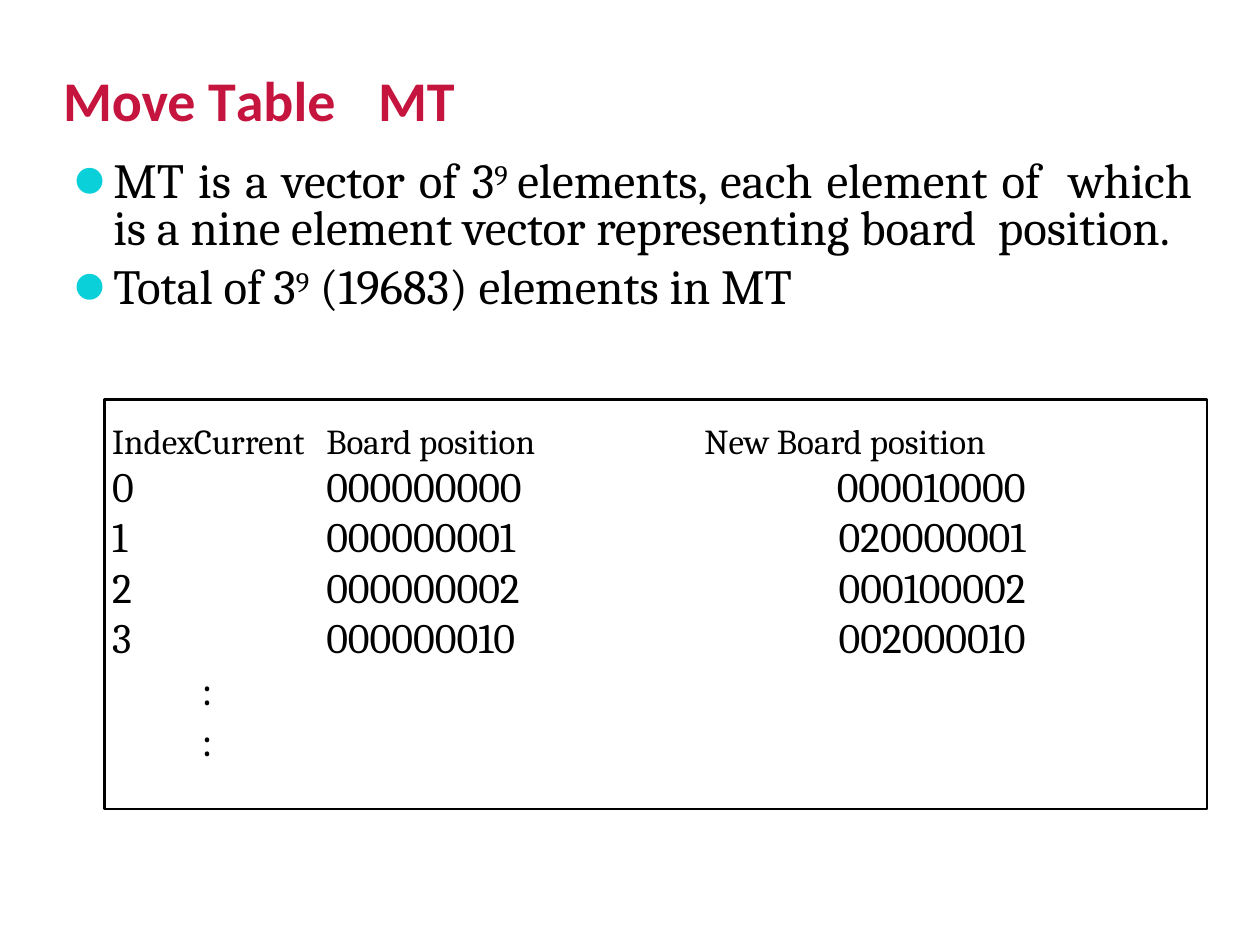
from pptx import Presentation
from pptx.dml.color import RGBColor
from pptx.enum.shapes import MSO_SHAPE
from pptx.enum.text import MSO_ANCHOR, MSO_AUTO_SIZE, PP_ALIGN
from pptx.oxml.ns import qn
from pptx.util import Inches, Pt
from lxml import etree

BLACK, RED, CYAN = "000000", "C5153E", "0AD0D9"
SERIF, SANS = "Cambria", "Calibri"


def color(value):
    return RGBColor.from_string(value)


def place(shape, box):
    shape.left, shape.top, shape.width, shape.height = map(Inches, box)


def prepare_frame(holder, top=0.0):
    frame = holder.text_frame
    frame.auto_size = MSO_AUTO_SIZE.NONE
    frame.word_wrap = True
    frame.vertical_anchor = MSO_ANCHOR.TOP
    frame.margin_left = frame.margin_right = frame.margin_bottom = 0
    frame.margin_top = Inches(top)
    return frame


def add_run(paragraph, text, size, font=SERIF, ink=BLACK, bold=False, spacing=0, baseline=0):
    run = paragraph.add_run()
    run.text = text
    run.font.size, run.font.name, run.font.bold = Pt(size), font, bold
    run.font.color.rgb = color(ink)
    props = run.font._element
    if spacing:
        props.set("spc", str(spacing))
    if baseline:
        props.set("baseline", str(baseline))


def add_child(parent, tag, **attributes):
    return etree.SubElement(parent, qn(tag), attributes)


def indent(paragraph, left, first=0.0):
    props = paragraph._p.get_or_add_pPr()
    props.set("marL", str(Inches(left)))
    props.set("indent", str(Inches(first)))
    return props


def add_title(slide, box):
    title = slide.shapes.title
    place(title, box)
    paragraph = prepare_frame(title, 0.01).paragraphs[0]
    paragraph.alignment = PP_ALIGN.LEFT
    paragraph.space_before = Pt(1.1)
    tabs = add_child(indent(paragraph, 0.01), "a:tabLst")
    add_child(tabs, "a:tab", pos=str(Inches(2.35)), algn="l")
    for text, spacing in (("Move ", -10), ("T", -250), ("able\tMT", 0)):
        add_run(paragraph, text, 32, SANS, RED, True, spacing)


def add_bullets(slide, box, items):
    body = slide.placeholders[1]
    place(body, box)
    frame = prepare_frame(body, 0.1)
    for number, (before, line, runs) in enumerate(items):
        paragraph = frame.add_paragraph() if number else frame.paragraphs[0]
        paragraph.alignment = PP_ALIGN.JUSTIFY
        paragraph.space_before = Pt(before)
        paragraph.line_spacing = line
        props = indent(paragraph, 0.38, -0.3)
        add_child(add_child(props, "a:buClr"), "a:srgbClr", val=CYAN)
        add_child(props, "a:buSzPct", val="95000")
        add_child(props, "a:buFont", typeface=SERIF)
        add_child(props, "a:buChar", char="⚫")
        for text, raised in runs:
            add_run(paragraph, text, 27.8 if raised else 28,
                    baseline=26000 if raised else 0)


def add_move_table(slide, box, widths, heights, rows):
    table = slide.shapes.add_table(len(rows), len(widths), *map(Inches, box)).table
    table.first_row = table.horz_banding = False
    for column, width in zip(table.columns, widths):
        column.width = Inches(width)
    for r, (row, height) in enumerate(zip(rows, heights)):
        table.rows[r].height = Inches(height)
        for c, text in enumerate(row):
            cell = table.cell(r, c)
            cell.fill.background()
            cell.margin_left = cell.margin_right = cell.margin_top = cell.margin_bottom = 0
            paragraph = cell.text_frame.paragraphs[0]
            paragraph.line_spacing = Pt(25.2 if r else 19.1)
            if r and c == 2:
                paragraph.alignment = PP_ALIGN.RIGHT
                cell.margin_right = Inches(0.03)
            else:
                indent(paragraph, 0.62 if c == 2 else 0.03)
            add_run(paragraph, text, 24 if r else 20)


def add_continuation(slide, box):
    frame = prepare_frame(slide.shapes.add_textbox(*map(Inches, box)), 0.01)
    for number in range(2):
        paragraph = frame.add_paragraph() if number else frame.paragraphs[0]
        paragraph.space_before = Pt(0 if number else 1)
        indent(paragraph, 0.01)
        add_run(paragraph, ":", 24)


def add_border(slide, box):
    border = slide.shapes.add_shape(MSO_SHAPE.RECTANGLE, *map(Inches, box))
    border.shadow.inherit = False
    border.fill.background()
    border.line.color.rgb = color(BLACK)
    border.line.width = Pt(1.5)


def build_slide(presentation):
    slide = presentation.slides.add_slide(presentation.slide_layouts[1])
    add_title(slide, (0.49, 0.51, 3.4, 0.56))
    add_bullets(slide, (0.52, 1.18, 8.94, 1.71), [
        (7.4, Pt(26.9), [
            ("MT is a vector of 3", False),
            ("9 ", True),
            ("elements, each element of  which is a nine element vector "
             "representing board  position.", False)]),
        (0.2, 1.0, [
            ("Total of 3", False),
            ("9", True),
            (" (19683) elements in MT", False)]),
    ])
    add_move_table(slide, (0.86, 3.41, 7.31, 1.88), (1.7, 2.41, 3.2),
                   (0.31, 0.4, 0.4, 0.4, 0.37), [
        ("IndexCurrent", "Board position", "New Board position"),
        ("0", "000000000", "000010000"),
        ("1", "000000001", "020000001"),
        ("2", "000000002", "000100002"),
        ("3", "000000010", "002000010"),
    ])
    add_continuation(slide, (1.59, 5.26, 0.11, 0.83))
    add_border(slide, (0.83, 3.17, 8.75, 3.25))


presentation = Presentation()
presentation.slide_width, presentation.slide_height = Inches(10), Inches(7.5)
build_slide(presentation)
presentation.save("out.pptx")
